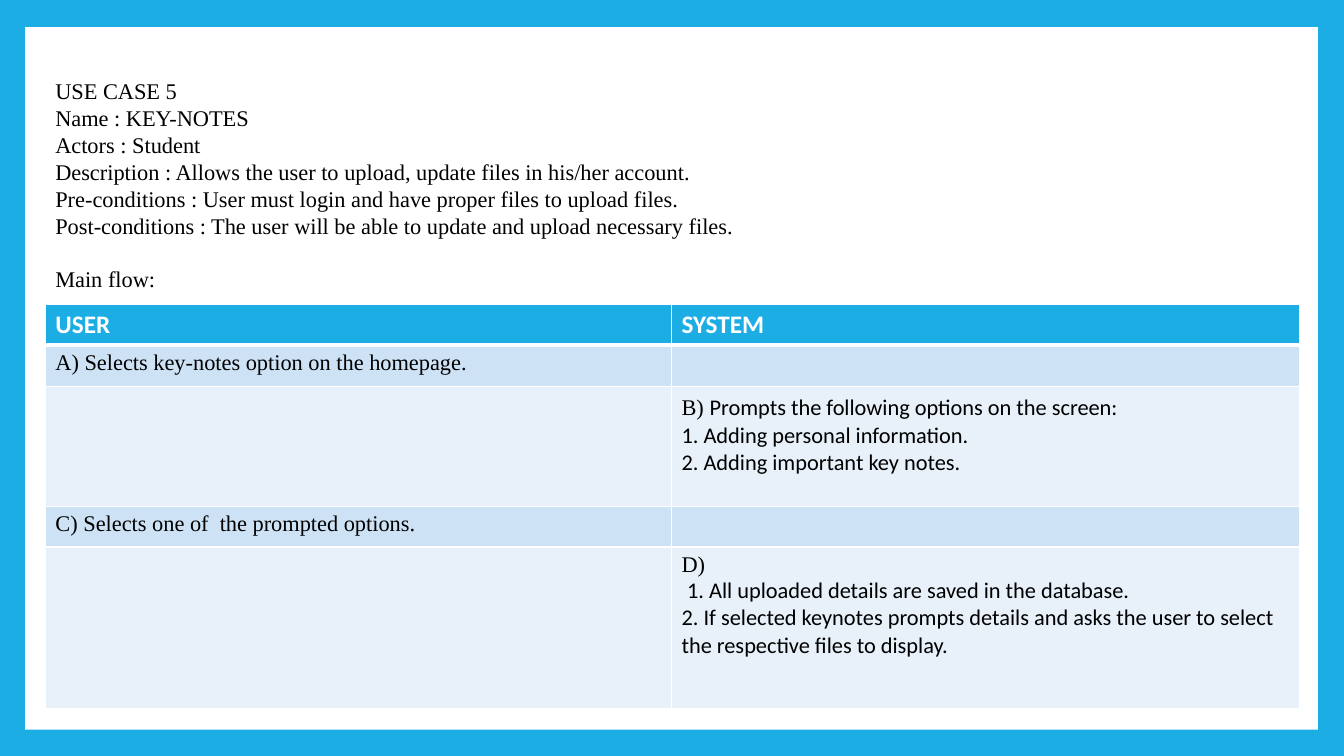
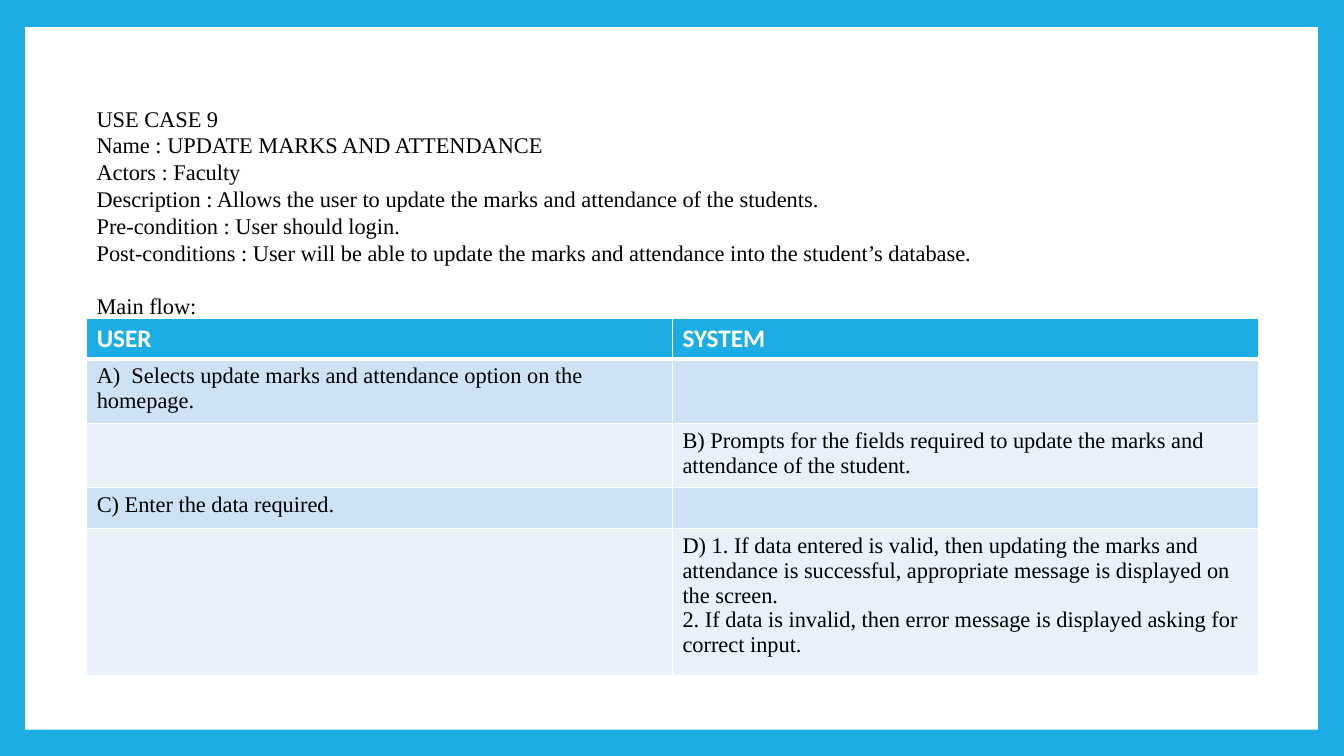
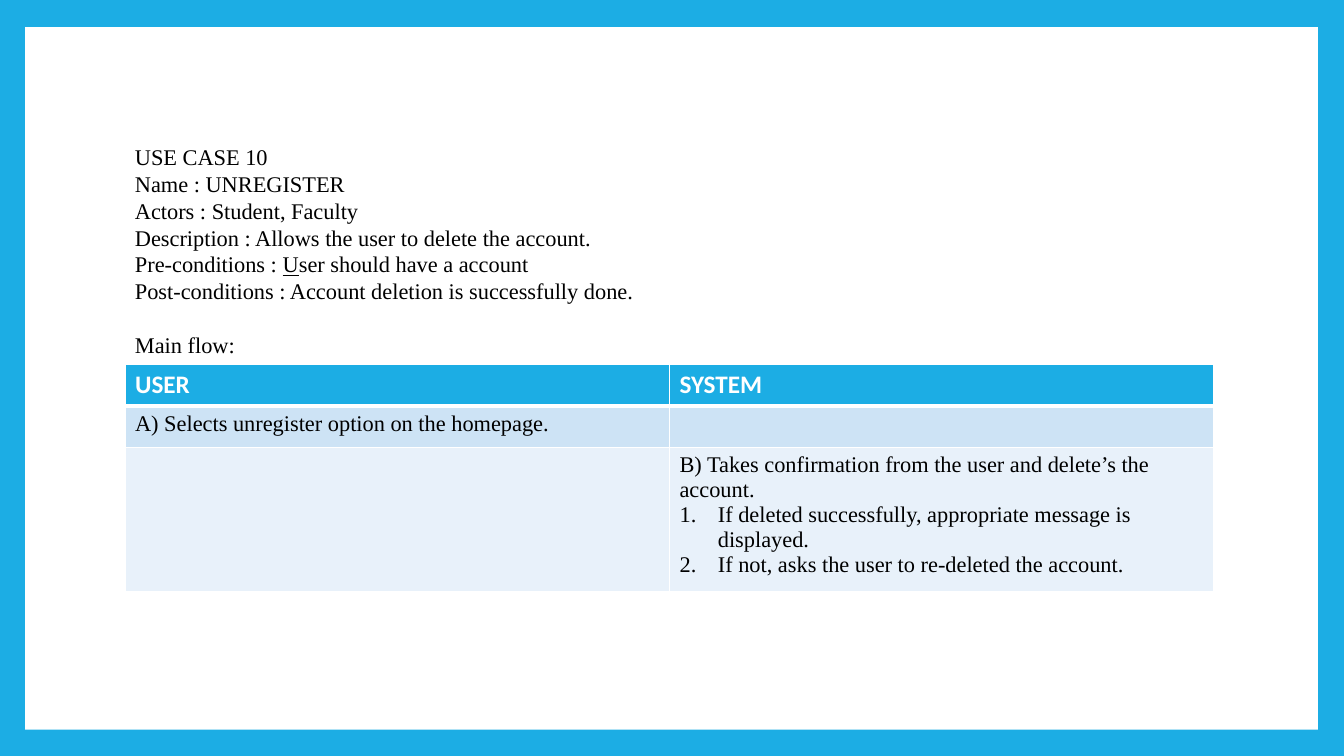
from dataclasses import dataclass

import pptx
import pptx.dml.color
import pptx.enum.shapes
import pptx.enum.text
import pptx.oxml
import pptx.oxml.ns
import pptx.util
from pptx.util import Inches, Pt

COLORS = {
    "accent": "1CADE4",
    "white": "FFFFFF",
    "black": "000000",
    "band_dark": "CDE3F5",
    "band_light": "E8F1FA",
}
SERIF = "Times New Roman"
SANS = "Calibri"
BODY_SIZE = 16
HEADER_SIZE = 18


@dataclass(frozen=True)
class Run:
    text: str
    font: str = SERIF
    size: int = BODY_SIZE
    color: str = "black"
    bold: bool = False
    underline: bool = False


@dataclass(frozen=True)
class Para:
    runs: tuple[Run, ...]
    numbered: bool = False


@dataclass(frozen=True)
class UseCase:
    left: float
    summary_top: float
    summary_width: float
    summary_height: float
    table_top: float
    table_height: float
    col_widths: tuple[float, float]
    row_heights: tuple[float, ...]
    summary: tuple[Para, ...]
    steps: tuple[tuple[Para, ...], ...]  # user and system take turns


def para(text: str, font: str = SERIF, numbered: bool = False) -> Para:
    return Para((Run(text, font),), numbered)


def header(text: str) -> Para:
    return Para((Run(text, SANS, HEADER_SIZE, "white", True),))


def rgb(name: str) -> pptx.dml.color.RGBColor:
    return pptx.dml.color.RGBColor.from_string(COLORS[name])


USE_CASES = (
    UseCase(
        left=0.45, summary_top=0.72, summary_width=8.65, summary_height=2.32,
        table_top=3.02, table_height=4, col_widths=(6.21, 6.23),
        row_heights=(0.4, 0.4, 1.19, 0.4, 1.6),
        summary=(
            para("USE CASE 5"),
            para("Name : KEY-NOTES"),
            para("Actors : Student"),
            para("Description : Allows the user to upload, update files in his/her account."),
            para("Pre-conditions : User must login and have proper files to upload files."),
            para("Post-conditions : The user will be able to update and upload necessary files."),
        ),
        steps=(
            (para("A) Selects key-notes option on the homepage."),),
            (
                Para((
                    Run("B)"),
                    Run(" ", SANS, HEADER_SIZE),
                    Run("Prompts the following options on the screen:", SANS),
                )),
                para("1. Adding personal information.", SANS),
                para("2. Adding important key notes.", SANS),
            ),
            (para("C) Selects one of  the prompted options."),),
            (
                para("D)"),
                Para((
                    Run(" "),
                    Run("1. All uploaded details are saved in the database.", SANS),
                )),
                para("2. If selected keynotes prompts details and asks the user to select "
                     "the respective files to display.", SANS),
            ),
        ),
    ),
    UseCase(
        left=0.86, summary_top=0.99, summary_width=10.53, summary_height=2.26,
        table_top=3.16, table_height=3.54, col_widths=(5.81, 5.81),
        row_heights=(0.4, 0.64, 0.64, 0.4, 1.46),
        summary=(
            para("USE CASE 9"),
            para("Name : UPDATE MARKS AND ATTENDANCE"),
            para("Actors : Faculty"),
            para("Description : Allows the user to update the marks and attendance of the students."),
            para("Pre-condition : User should login."),
            para("Post-conditions : User will be able to update the marks and attendance "
                 "into the student’s database."),
        ),
        steps=(
            (para("A)  Selects update marks and attendance option on the homepage."),),
            (para("B) Prompts for the fields required to update the marks and "
                  "attendance of the student."),),
            (para("C) Enter the data required."),),
            (
                para("D) 1. If data entered is valid, then updating the marks and attendance "
                     "is successful, appropriate message is displayed on the screen."),
                para("2. If data is invalid, then error message is displayed asking for "
                     "correct input."),
            ),
        ),
    ),
    UseCase(
        left=1.24, summary_top=1.37, summary_width=8.76, summary_height=2.26,
        table_top=3.62, table_height=2.24, col_widths=(5.4, 5.4),
        row_heights=(0.41, 0.41, 0.4),
        summary=(
            para("USE CASE 10"),
            para("Name : UNREGISTER"),
            para("Actors : Student, Faculty"),
            para("Description : Allows the user to delete the account."),
            Para((
                Run("Pre-conditions : "),
                Run("U", underline=True),
                Run("ser should have a account"),
            )),
            para("Post-conditions : Account deletion is successfully done."),
        ),
        steps=(
            (para("A) Selects unregister option on the homepage."),),
            (
                para("B) Takes confirmation from the user and delete’s the account."),
                para("If deleted successfully, appropriate message is displayed.", numbered=True),
                para("If not, asks the user to re-deleted the account.", numbered=True),
            ),
        ),
    ),
)


def number_paragraph(p) -> None:
    """Give a paragraph an automatic 1., 2. number with a hanging indent."""
    pPr = p._p.get_or_add_pPr()
    pPr.set("marL", str(Inches(0.38)))
    pPr.set("indent", str(-Inches(0.38)))
    pPr.append(pptx.oxml.parse_xml(
        f'<a:buAutoNum {pptx.oxml.ns.nsdecls("a")} type="arabicPeriod"/>'))


def write(tf, paras: tuple[Para, ...]) -> None:
    for i, item in enumerate(paras):
        p = tf.add_paragraph() if i else tf.paragraphs[0]
        if item.numbered:
            number_paragraph(p)
        for run in item.runs:
            r = p.add_run()
            r.text = run.text
            r.font.name = run.font
            r.font.size = Pt(run.size)
            r.font.bold = run.bold
            if run.underline:
                r.font.underline = True
            r.font.color.rgb = rgb(run.color)


def add_borders(cell, row: int) -> None:
    """Draw white cell borders, with a thicker rule under the header row."""
    widths = {"lnL": 1, "lnR": 1, "lnT": 3 if row == 1 else 1, "lnB": 3 if row == 0 else 1}
    tcPr = cell._tc.get_or_add_tcPr()
    for i, (side, width) in enumerate(widths.items()):
        tcPr.insert(i, pptx.oxml.parse_xml(
            f'<a:{side} {pptx.oxml.ns.nsdecls("a")} w="{Pt(width)}"><a:solidFill>'
            f'<a:srgbClr val="{COLORS["white"]}"/></a:solidFill></a:{side}>'))


def add_flow_table(slide, case: UseCase) -> None:
    frame = slide.shapes.add_table(
        len(case.row_heights), 2, Inches(case.left), Inches(case.table_top),
        Inches(sum(case.col_widths)), Inches(case.table_height))
    table = frame.table
    for column, width in zip(table.columns, case.col_widths):
        column.width = Inches(width)
    for i, (row, height) in enumerate(zip(table.rows, case.row_heights)):
        row.height = Inches(height)
        band = "accent" if i == 0 else "band_dark" if i % 2 else "band_light"
        for cell in row.cells:
            cell.fill.solid()
            cell.fill.fore_color.rgb = rgb(band)
            add_borders(cell, i)
    frame.height = Inches(case.table_height)
    for col, title in enumerate(("USER", "SYSTEM")):
        write(table.cell(0, col).text_frame, (header(title),))
    for i, step in enumerate(case.steps):
        write(table.cell(i + 1, i % 2).text_frame, step)


def add_summary(slide, case: UseCase) -> None:
    sp = slide.shapes.add_textbox(
        Inches(case.left), Inches(case.summary_top),
        Inches(case.summary_width), Inches(case.summary_height))
    tf = sp.text_frame
    tf.word_wrap = True
    tf.auto_size = pptx.enum.text.MSO_AUTO_SIZE.SHAPE_TO_FIT_TEXT
    write(tf, case.summary + (para("Main flow:"),))
    tf.paragraphs[-1].space_before = Pt(19)


def add_panel(slide) -> None:
    panel = slide.shapes.add_shape(
        pptx.enum.shapes.MSO_SHAPE.RECTANGLE,
        Inches(0.25), Inches(0.27), Inches(12.82), Inches(6.97))
    panel.shadow.inherit = False
    panel.fill.solid()
    panel.fill.fore_color.rgb = rgb("white")
    panel.line.fill.background()


def main() -> None:
    prs = pptx.Presentation()
    prs.slide_width = Inches(13.33)
    prs.slide_height = Inches(7.5)
    background = prs.slide_master.background.fill
    background.solid()
    background.fore_color.rgb = rgb("accent")
    blank = prs.slide_layouts.get_by_name("Blank")
    for case in USE_CASES:
        slide = prs.slides.add_slide(blank)
        add_panel(slide)
        add_flow_table(slide, case)
        add_summary(slide, case)
    prs.save("out.pptx")


if __name__ == "__main__":
    main()
